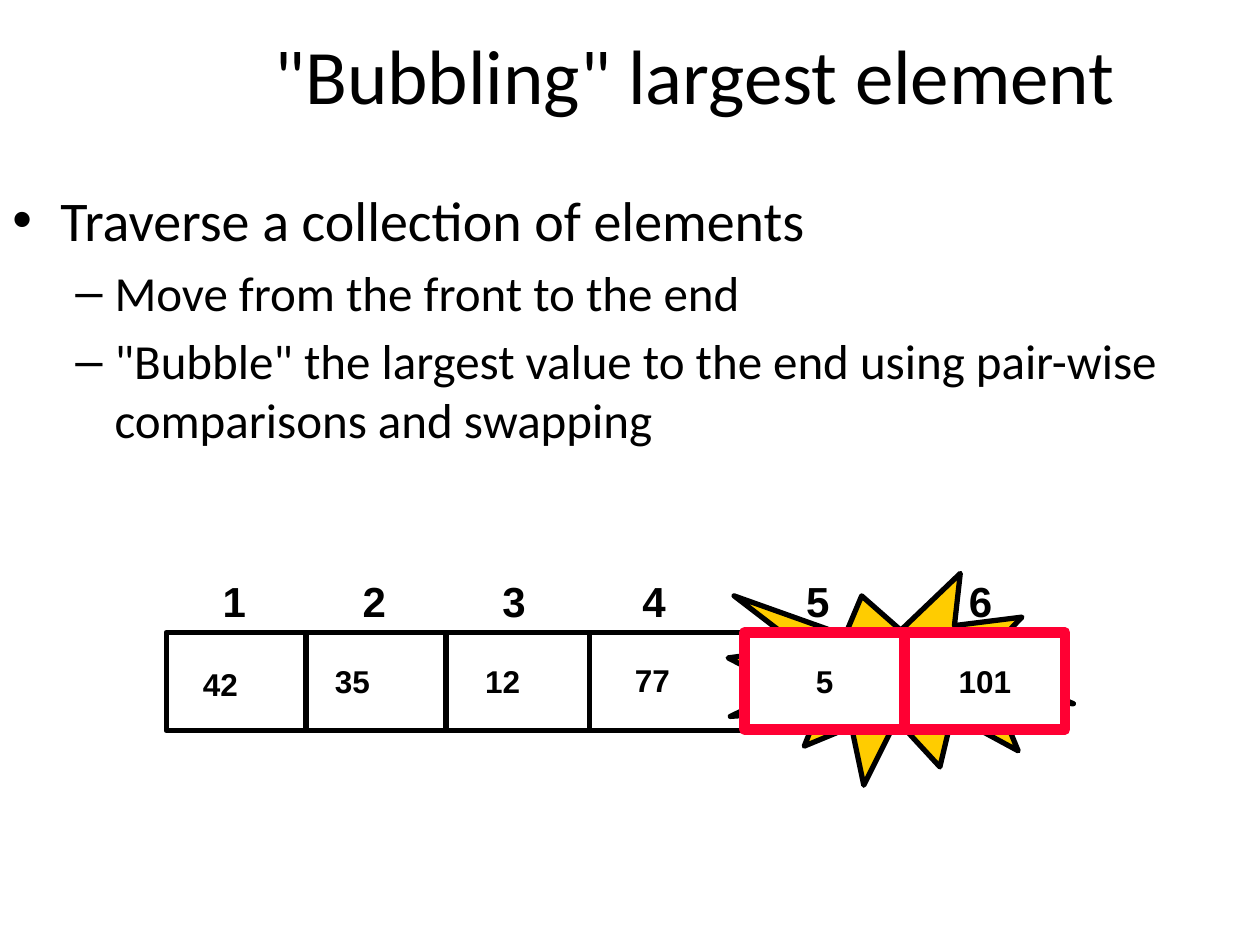
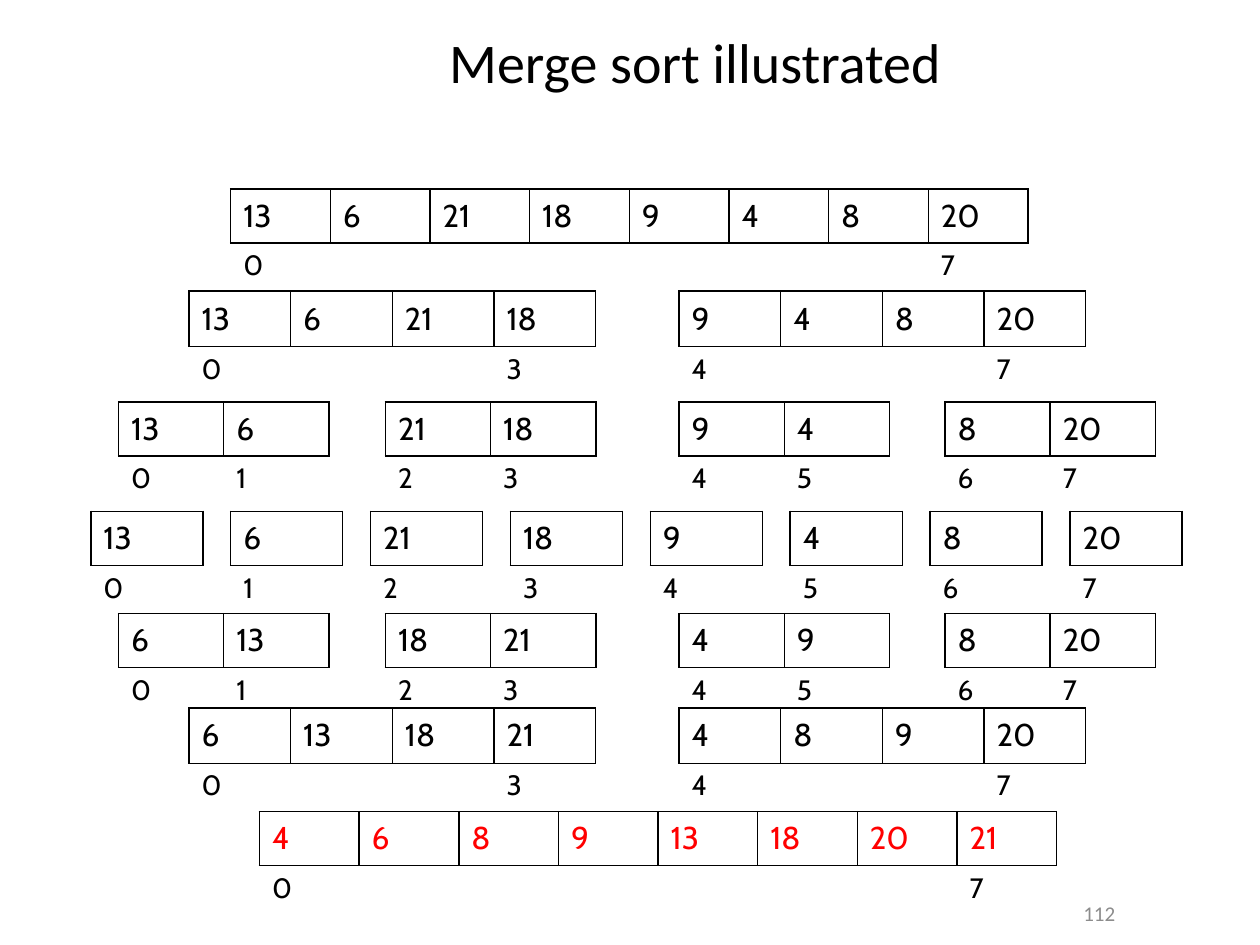
import dataclasses

import pptx
import pptx.dml.color
import pptx.enum.shapes
import pptx.enum.text
import pptx.oxml.ns
import pptx.util
from lxml import etree

Cm = pptx.util.Cm
Pt = pptx.util.Pt
Shape = pptx.enum.shapes.MSO_SHAPE
Anchor = pptx.enum.text.MSO_ANCHOR
Align = pptx.enum.text.PP_ALIGN
PLAIN_TABLE = "{2D5ABB26-0587-4C30-8999-92F81FD0307C}"


@dataclasses.dataclass(frozen=True)
class Theme:
    ink: str = "000000"
    paper: str = "FFFFFF"
    grey: str = "8C8C8C"
    burst: str = "FFCC00"
    highlight: str = "FF0033"
    sorted_value: str = "FF0000"
    text_font: str = "Calibri"
    array_font: str = "Arial"
    table_font: str = "Cabin"
    title: int = 44
    small_title: int = 32
    bullet: int = 32
    sub_bullet: int = 28
    label: int = 24
    value: int = 18
    index: int = 16
    page_number: int = 12


def rgb(code):
    return pptx.dml.color.RGBColor.from_string(code)


def add_xml(parent, tag, **attributes):
    return etree.SubElement(parent, pptx.oxml.ns.qn(tag), attributes)


class SlideBuilder:
    """Holds the theme and the slide being drawn."""

    def __init__(self, deck, theme):
        self.deck = deck
        self.theme = theme
        self.slide = None

    def new_slide(self, title, size):
        self.slide = self.deck.slides.add_slide(self.deck.slide_layouts[6])
        box = self.text_box(3.18, 0.43, 21.67, 2.34)
        para = box.text_frame.paragraphs[0]
        para.alignment = Align.CENTER
        self.span(para, title, size)

    def span(self, para, text, size, font=None, color=None, bold=False):
        span = para.add_run()
        span.text = text
        span.font.size = Pt(size)
        span.font.name = font or self.theme.text_font
        span.font.bold = bold
        span.font.color.rgb = rgb(color or self.theme.ink)

    def text_box(self, left, top, width, height, wrap=True):
        box = self.slide.shapes.add_textbox(Cm(left), Cm(top), Cm(width), Cm(height))
        box.text_frame.word_wrap = wrap
        return box

    def bullets(self, box, items):
        levels = [("•", 0.97, -0.97, self.theme.bullet),
                  ("–", 2.06, -0.79, self.theme.sub_bullet)]
        frame = box.text_frame
        for number, (level, text) in enumerate(items):
            mark, margin, indent, size = levels[level]
            para = frame.add_paragraph() if number else frame.paragraphs[0]
            para.level = level
            properties = para._p.get_or_add_pPr()
            properties.set("marL", str(Cm(margin)))
            properties.set("indent", str(Cm(indent)))
            add_xml(properties, "a:buFont", typeface="Arial")
            add_xml(properties, "a:buChar", char=mark)
            if number:
                para.space_before = Pt(5.6)
            self.span(para, text, size)

    def array_text(self, para, text, size):
        self.span(para, text, size, self.theme.array_font, bold=True)

    def tabbed_labels(self, box, labels, stops):
        para = box.text_frame.paragraphs[0]
        tabs = add_xml(para._p.get_or_add_pPr(), "a:tabLst")
        for stop in stops:
            add_xml(tabs, "a:tab", pos=str(Cm(stop)), algn="l")
        self.array_text(para, "\t".join(labels), self.theme.label)

    def shape(self, kind, left, top, width, height, line, weight, fill=None, text=None):
        shape = self.slide.shapes.add_shape(kind, Cm(left), Cm(top), Cm(width), Cm(height))
        shape.shadow.inherit = False
        shape.line.color.rgb = rgb(line)
        shape.line.width = Pt(weight)
        if fill:
            shape.fill.solid()
            shape.fill.fore_color.rgb = rgb(fill)
        else:
            shape.fill.background()
        if text:
            shape.text_frame.vertical_anchor = Anchor.MIDDLE
            para = shape.text_frame.paragraphs[0]
            para.alignment = Align.CENTER
            self.array_text(para, text, self.theme.value)

    def divider(self, x, top, bottom):
        line = self.slide.shapes.add_connector(
            pptx.enum.shapes.MSO_CONNECTOR.STRAIGHT, Cm(x), Cm(top), Cm(x), Cm(bottom))
        line.line.color.rgb = rgb(self.theme.ink)
        line.line.width = Pt(3)
        add_xml(line._element.spPr, "a:effectLst")

    def cell(self, cell, text, size, color, sides):
        properties = cell._tc.get_or_add_tcPr()
        for side in sides:
            border = add_xml(properties, "a:ln" + side, w=str(Pt(1)))
            fill = add_xml(border, "a:solidFill")
            add_xml(fill, "a:srgbClr", val=self.theme.ink)
        cell.fill.background()
        cell.vertical_anchor = Anchor.MIDDLE
        if text:
            self.span(cell.text_frame.paragraphs[0], text, size, self.theme.table_font, color)

    def run_table(self, left, top, cell_width, value_height, values, first_index, color):
        """Values in boxes, with the first and last index below them."""
        count = len(values)
        index_height = 0.91
        table = self.slide.shapes.add_table(
            2, count, Cm(left), Cm(top), Cm(cell_width * count),
            Cm(value_height + index_height)).table
        table.first_row = table.horz_banding = False
        table._tbl.tblPr.find(pptx.oxml.ns.qn("a:tableStyleId")).text = PLAIN_TABLE
        table.rows[0].height = Cm(value_height)
        table.rows[1].height = Cm(index_height)
        for column, value in enumerate(values):
            table.columns[column].width = Cm(cell_width)
            self.cell(table.cell(0, column), str(value), self.theme.value, color, "LRTB")
            at_end = column in (0, count - 1)
            below = table.cell(1, column)
            below.margin_top = below.margin_bottom = 0
            self.cell(below, str(first_index + column) if at_end else "",
                      self.theme.index, self.theme.ink, "T")

    def page_number(self, number):
        frame = self.text_box(21.59, 17.78, 3.81, 1.27).text_frame
        frame.vertical_anchor = Anchor.MIDDLE
        self.span(frame.paragraphs[0], number, self.theme.page_number, color=self.theme.grey)


def bubbling_slide(page):
    theme = page.theme
    page.new_slide('"Bubbling" largest element', theme.title)
    page.bullets(page.text_box(0, 3.61, 25.4, 15.44), [
        (0, "Traverse a collection of elements"),
        (1, "Move from the front to the end"),
        (1, '"Bubble" the largest value to the end using pair-wise '
            "comparisons and swapping"),
    ])

    # Array with its cell dividers, values and index labels
    top, height = 12.75, 1.98
    page.shape(Shape.RECTANGLE, 3.35, top, 18.11, height, theme.ink, 3)
    for x in (6.17, 8.99, 11.89, 14.96, 18.16):
        page.divider(x, top, top + height)
    for value, left, value_top in (("42", 3.84, 13.28), ("35", 6.5, 13.23),
                                   ("12", 9.53, 13.23), ("77", 12.55, 13.21)):
        box = page.text_box(left, value_top, 1.45, 1.27, wrap=False)
        page.array_text(box.text_frame.paragraphs[0], value, theme.value)
    page.tabbed_labels(page.text_box(4.24, 11.48, 16.13, 1.3), "123456",
                       (2.82, 5.64, 8.46, 11.76, 15.04))

    # Swapped pair on a burst
    page.shape(Shape.EXPLOSION1, 14.68, 11.56, 6.96, 4.27, theme.ink, 3, theme.burst)
    pair_width = 3.23
    for position, value in enumerate(("5", "101")):
        page.shape(Shape.RECTANGLE, 15.01 + position * pair_width, top, pair_width, 1.96,
                   theme.highlight, 6, theme.paper, value)


def merge_sort_slide(page):
    theme = page.theme
    page.new_slide("Merge sort illustrated", theme.small_title)

    # Run length: cell width, value row height, left edge of each run
    layouts = {
        8: (2.01, 1.09, [4.65]),
        4: (2.05, 1.12, [3.81, 13.69]),
        2: (2.12, 1.09, [2.39, 7.77, 13.69, 19.05]),
        1: (2.26, 1.09, [1.83 + 2.82 * number for number in range(8)]),
    }
    start = [13, 6, 21, 18, 9, 4, 8, 20]
    steps = [(8, 3.81), (4, 5.87), (2, 8.1), (1, 10.31), (2, 12.37), (4, 14.27), (8, 16.36)]
    merging = False
    for length, top in steps:
        cell_width, value_height, lefts = layouts[length]
        finished = merging and length == len(start)
        for number, left in enumerate(lefts):
            first = number * length
            values = start[first:first + length]
            if merging:
                values = sorted(values)
            page.run_table(left + 0.58 * finished, top, cell_width, value_height, values,
                           first, theme.sorted_value if finished else theme.ink)
        merging = merging or length == 1
    page.page_number("112")


def main():
    deck = pptx.Presentation()
    deck.slide_width, deck.slide_height = Cm(25.4), Cm(19.05)
    page = SlideBuilder(deck, Theme())
    bubbling_slide(page)
    merge_sort_slide(page)
    deck.save("out.pptx")


if __name__ == "__main__":
    main()
